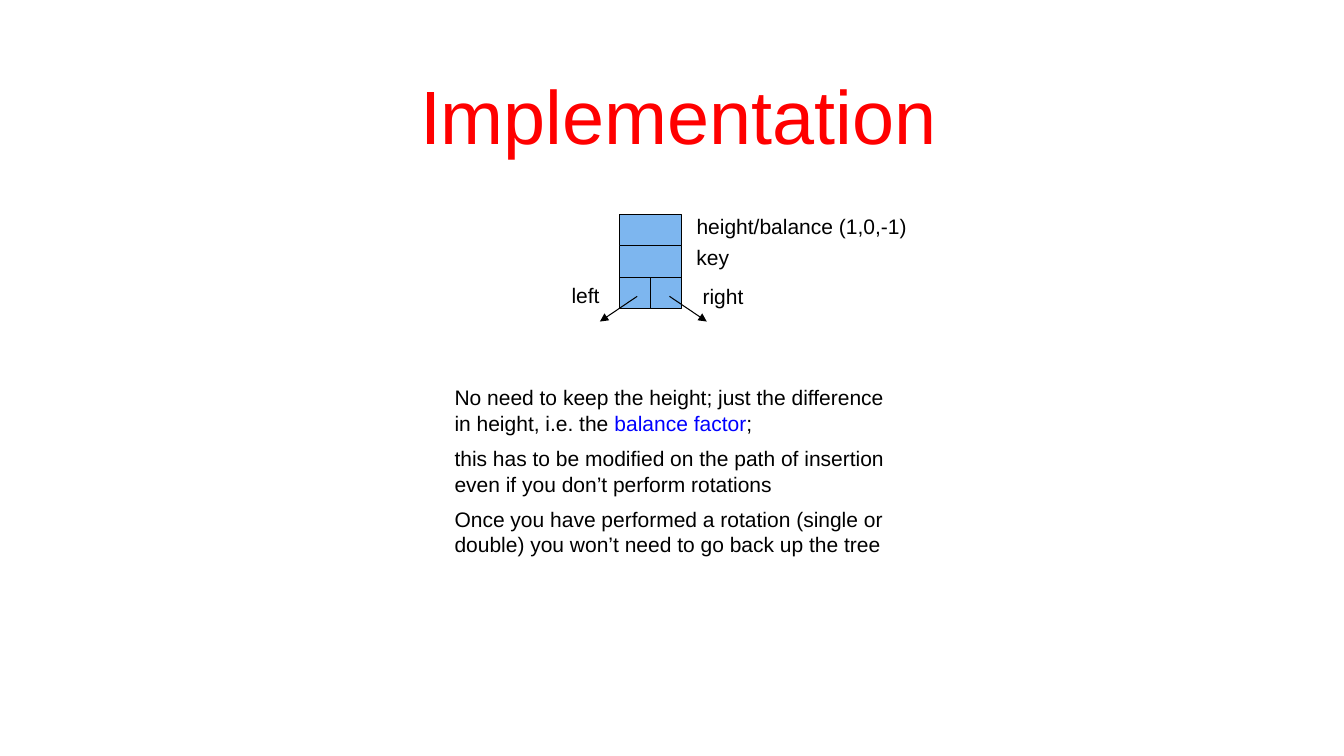
from lxml.etree import SubElement as Sub
from pptx import Presentation
from pptx.dml.color import RGBColor as RGB
from pptx.enum.shapes import MSO_CONNECTOR as LINK, MSO_SHAPE as SHAPE
from pptx.enum.text import MSO_ANCHOR as ANCHOR, MSO_AUTO_SIZE as FIT, PP_ALIGN as ALIGN
from pptx.oxml.ns import qn
from pptx.util import Inches, Pt

COLORS = {"title": "FF0000", "text": "000000", "term": "0000FF",
          "cell": "7DB6EF", "line": "000000"}


class Sketch:
    font = "Arial"
    size = 15
    width = 0.75

    def __init__(self, slide):
        self.shapes = slide.shapes

    def color(self, name):
        return RGB.from_string(COLORS[name])

    def text(self, x, y, w, h, paras, size=size, wrap=True, fit=FIT.NONE,
             align=ALIGN.LEFT, anchor=ANCHOR.TOP, gap=0):
        box = self.shapes.add_textbox(Inches(x), Inches(y), Inches(w), Inches(h))
        frame = box.text_frame
        frame.word_wrap = wrap
        frame.auto_size = fit
        frame.vertical_anchor = anchor
        for i, runs in enumerate(paras):
            para = frame.paragraphs[0] if i == 0 else frame.add_paragraph()
            para.alignment = align
            if i:
                para.space_before = Pt(gap)
            for words, tone in runs:
                run = para.add_run()
                run.text = words
                run.font.name = self.font
                run.font.size = Pt(size)
                run.font.color.rgb = self.color(tone)

    def label(self, x, y, w, words):
        self.text(x, y, w, 0.35, [[(words, "text")]], wrap=False,
                  fit=FIT.SHAPE_TO_FIT_TEXT)

    def cell(self, x, y, w, h):
        box = self.shapes.add_shape(SHAPE.RECTANGLE, Inches(x), Inches(y),
                                    Inches(w), Inches(h))
        box.shadow.inherit = False
        box.fill.solid()
        box.fill.fore_color.rgb = self.color("cell")
        box.line.color.rgb = self.color("line")
        box.line.width = Pt(self.width)

    def arrow(self, x1, y1, x2, y2):
        link = self.shapes.add_connector(LINK.STRAIGHT, Inches(x1), Inches(y1),
                                         Inches(x2), Inches(y2))
        link.line.color.rgb = self.color("line")
        link.line.width = Pt(self.width)
        props = link.element.spPr
        Sub(props.find(qn("a:ln")), qn("a:tailEnd"), type="triangle")
        Sub(props, qn("a:effectLst"))


def main():
    deck = Presentation()
    deck.slide_width, deck.slide_height = Inches(13.33), Inches(7.5)
    art = Sketch(deck.slides.add_slide(deck.slide_layouts[6]))

    # Title
    art.text(0.98, 0.1, 11.5, 1.53, [[("Implementation", "title")]],
             size=54, align=ALIGN.CENTER, anchor=ANCHOR.BOTTOM)

    # Notes on the balance factor
    art.text(4.41, 3.77, 4.64, 1.87, [
        [("No need to keep the height; just the difference in height, i.e. the ", "text"),
         ("balance factor", "term"), (";", "text")],
        [("this has to be modified on the path of insertion "
          "even if you don’t perform rotations", "text")],
        [("Once you have performed a rotation (single or double) "
          "you won’t need to go back up the tree", "text")],
    ], gap=7.5)

    # Tree node: two full rows over two half cells
    left, top, unit = 6.14, 2.13, 0.31
    for col, row, span in [(0, 2, 1), (1, 2, 1), (0, 1, 2), (0, 0, 2)]:
        art.cell(left + col * unit, top + row * unit, span * unit, unit)

    # Child pointers, mirrored about the node's middle
    mid = 6.48
    for side in (-1, 1):
        art.arrow(mid + side * 0.16, 2.94, mid + side * 0.53, 3.19)

    # Field labels
    for x, y, w, words in [(6.81, 2.07, 2.29, "height/balance (1,0,-1)"),
                           (6.81, 2.38, 0.54, "key"),
                           (6.87, 2.76, 0.61, "right"),
                           (5.57, 2.75, 0.48, "left")]:
        art.label(x, y, w, words)

    deck.save("out.pptx")


if __name__ == "__main__":
    main()
